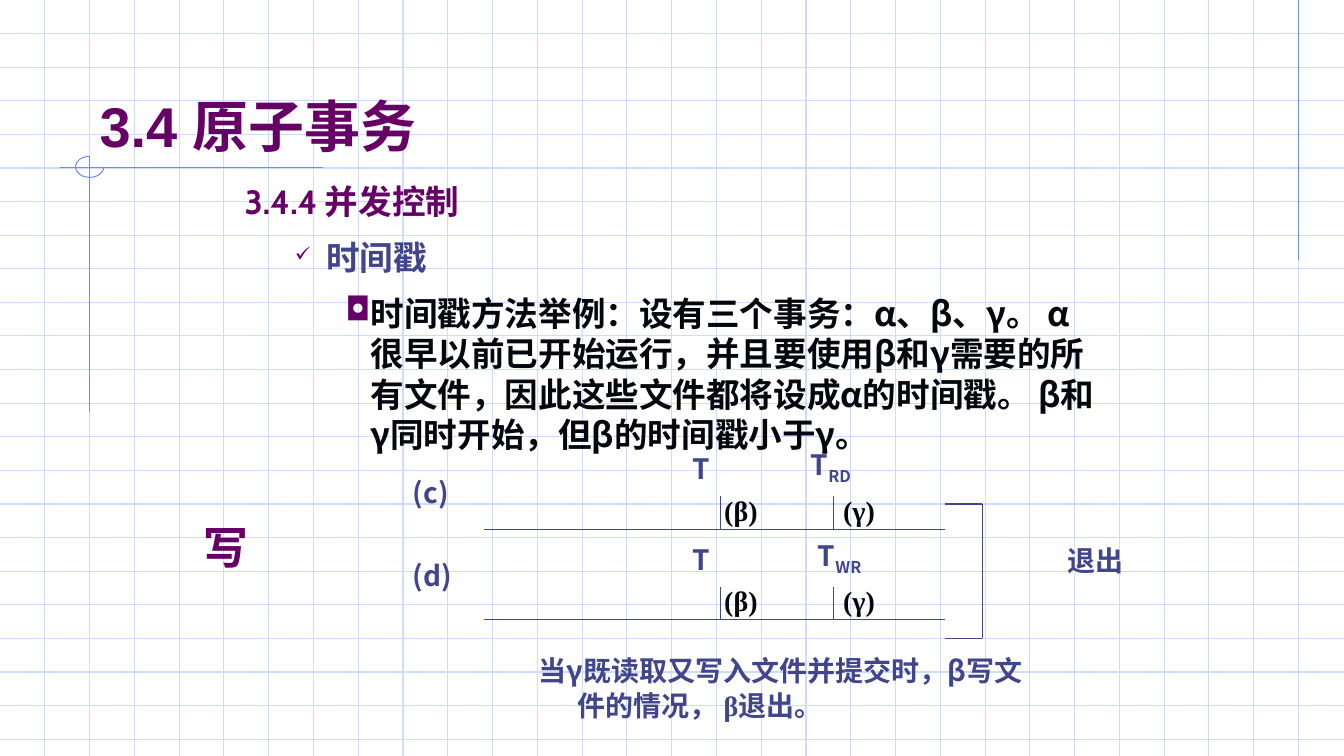
"""Build the slide on timestamp concurrency control."""
from dataclasses import dataclass

from lxml import etree
from pptx import Presentation
from pptx.dml.color import RGBColor
from pptx.enum.shapes import MSO_CONNECTOR, MSO_SHAPE
from pptx.enum.text import MSO_ANCHOR
from pptx.oxml.ns import qn
from pptx.util import Inches, Pt

STRAIGHT = MSO_CONNECTOR.STRAIGHT
ARC = MSO_SHAPE.ARC
TOP, BOTTOM = MSO_ANCHOR.TOP, MSO_ANCHOR.BOTTOM
SANS, SERIF = "Noto Sans CJK SC", "Times New Roman"
PLUM, SLATE, INK = "660066", "40458C", "06070E"
GRID, TRIM = "CFDBFD", "6F89F7"
WIDE, HIGH = 13.34, 7.5


@dataclass
class Run:
    text: str
    color: str = SLATE
    font: str = SANS
    sub: bool = False


@dataclass
class Para:
    runs: list[Run]
    size: float = 20
    left: float = 0
    hang: float = 0
    before: float = 0
    level: int = 0
    mark: str = ""
    scale: int = 100
    lead: float = 1.25


@dataclass
class Track:
    base: float
    name: str
    top: float
    sub: str
    side: float


def paint(color: str) -> RGBColor:
    """Turn a hex string into a colour."""
    return RGBColor.from_string(color)


def draw_line(slide, x1: float, y1: float, x2: float, y2: float, color: str) -> None:
    """Draw a thin straight line."""
    line = slide.shapes.add_connector(
        STRAIGHT, Inches(x1), Inches(y1), Inches(x2), Inches(y2))
    line.line.color.rgb = paint(color)
    line.line.width = Pt(0.75)
    etree.SubElement(line._element.spPr, qn("a:effectLst"))


def add_mark(props, para: Para) -> None:
    """Give a paragraph its bullet."""
    tint = etree.SubElement(props, qn("a:buClr"))
    etree.SubElement(tint, qn("a:srgbClr")).set("val", PLUM)
    etree.SubElement(props, qn("a:buSzPct")).set("val", str(para.scale * 1000))
    etree.SubElement(props, qn("a:buChar")).set("char", para.mark)


def add_run(line, part: Run, size: float) -> None:
    """Add one bold run with its font and colour."""
    run = line.add_run()
    run.text = part.text
    run.font.size = Pt(size)
    run.font.bold = True
    run.font.color.rgb = paint(part.color)
    run.font.name = part.font
    props = run.font._element
    etree.SubElement(props, qn("a:ea")).set("typeface", SANS)
    if part.sub:
        props.set("baseline", "-25000")


def add_text(slide, paras: list[Para], *, x: float, y: float, w: float,
             h: float = 0.44, anchor=TOP) -> None:
    """Place a text box made of formatted paragraphs."""
    frame = slide.shapes.add_textbox(
        Inches(x), Inches(y), Inches(w), Inches(h)).text_frame
    frame.word_wrap = True
    frame.vertical_anchor = anchor
    for i, para in enumerate(paras):
        line = frame.add_paragraph() if i else frame.paragraphs[0]
        line.level = para.level
        line.line_spacing = Pt(para.size * para.lead)
        line.space_before = Pt(para.before)
        props = line._p.get_or_add_pPr()
        props.set("marL", str(Inches(para.left)))
        props.set("indent", str(Inches(-para.hang)))
        if para.mark:
            add_mark(props, para)
        for part in para.runs:
            add_run(line, part, para.size)


def draw_back(slide) -> None:
    """Draw the grid and the trim lines."""
    for row in range(1, 23):
        draw_line(slide, 0, row / 3, WIDE, row / 3, GRID)
    for col in range(1, 30):
        draw_line(slide, col * 4 / 9, 0, col * 4 / 9, HIGH, GRID)
    draw_line(slide, 12.89, 0, 12.89, 2.58, TRIM)
    draw_line(slide, 3.21, 1.66, 0.6, 1.66, TRIM)
    draw_line(slide, 0.89, 1.55, 0.89, 4.09, TRIM)
    arc = slide.shapes.add_shape(
        ARC, Inches(0.75), Inches(1.55), Inches(0.28), Inches(0.21))
    arc.adjustments[0] = 0
    arc.adjustments[1] = 162
    arc.shadow.inherit = False
    arc.fill.background()
    arc.line.color.rgb = paint(TRIM)
    arc.line.width = Pt(0.75)


def draw_track(slide, track: Track) -> None:
    """Draw one time line with its ticks and labels."""
    base = track.base
    draw_line(slide, 4.8, base, 9.38, base, SLATE)
    for x, name in ((7.15, "(β)"), (8.27, "(γ)")):
        draw_line(slide, x, base - 0.33, x, base, SLATE)
        left = 7.09 if x < 8 else x
        add_text(slide, [Para([Run(name, INK, SERIF)])], x=left, y=base - 0.42, w=0.74)
    add_text(slide, [Para([Run("T")])], x=6.78, y=base - 0.83, w=0.87)
    add_text(slide, [Para([Run("T"), Run(track.sub, sub=True)])],
             x=track.side, y=base - 0.83, w=1, h=0.48)
    add_text(slide, [Para([Run(track.name)])], x=4, y=track.top, w=0.87)


def main() -> None:
    """Build and save the slide."""
    deck = Presentation()
    deck.slide_width, deck.slide_height = Inches(WIDE), Inches(HIGH)
    slide = deck.slides.add_slide(deck.slide_layouts[6])
    draw_back(slide)
    title = Para([Run("3.4 ", PLUM, "Arial"), Run("原子事务", PLUM)], size=40, lead=1.2)
    add_text(slide, [title], x=0.89, y=0.37, w=11.33, h=1.25, anchor=BOTTOM)
    story = ("设有三个事务：α、β、γ。 α 很早以前已开始运行，并且要使用β和γ需要的所有文件，"
             "因此这些文件都将设成α的时间戳。 β和γ同时开始，但β的时间戳小于γ。")
    body = [
        Para([Run("3.4.4 并发控制", PLUM, "Cabin")], 24, 0.38, 0.38, lead=1.2),
        Para([Run("时间戳", SLATE, "Cabin")], 24, 0.81, 0.31, 11, 1, "✓", 60, 1.2),
        Para([Run("时间戳方法举例：", INK, "Cabin"), Run(story, INK)],
             24, 1.25, 0.25, 11, 2, "◘", 95, 1.2),
    ]
    add_text(slide, body, x=2.33, y=1.75, w=8.74, h=5.39)
    for track in (Track(5.25, "(c)", 4.65, "RD", 7.95),
                  Track(6.15, "(d)", 5.48, "WR", 8.02)):
        draw_track(slide, track)
    for y in (5, 6.33):
        draw_line(slide, 9.38, y, 9.75, y, SLATE)
    draw_line(slide, 9.75, 5, 9.75, 6.33, SLATE)
    add_text(slide, [Para([Run("退出")])], x=10.5, y=5.33, w=0.92)
    note = [Run("当γ既读取又写入文件并提交时，β写文件的情况， "), Run("β退出。", font=SERIF)]
    add_text(slide, [Para(note, left=0.38, hang=0.38)], x=5.25, y=6.42, w=5.05, h=0.77)
    add_text(slide, [Para([Run("写", PLUM)], size=32)], x=1.92, y=5.08, w=0.7, h=0.64)
    deck.save("out.pptx")


if __name__ == "__main__":
    main()
